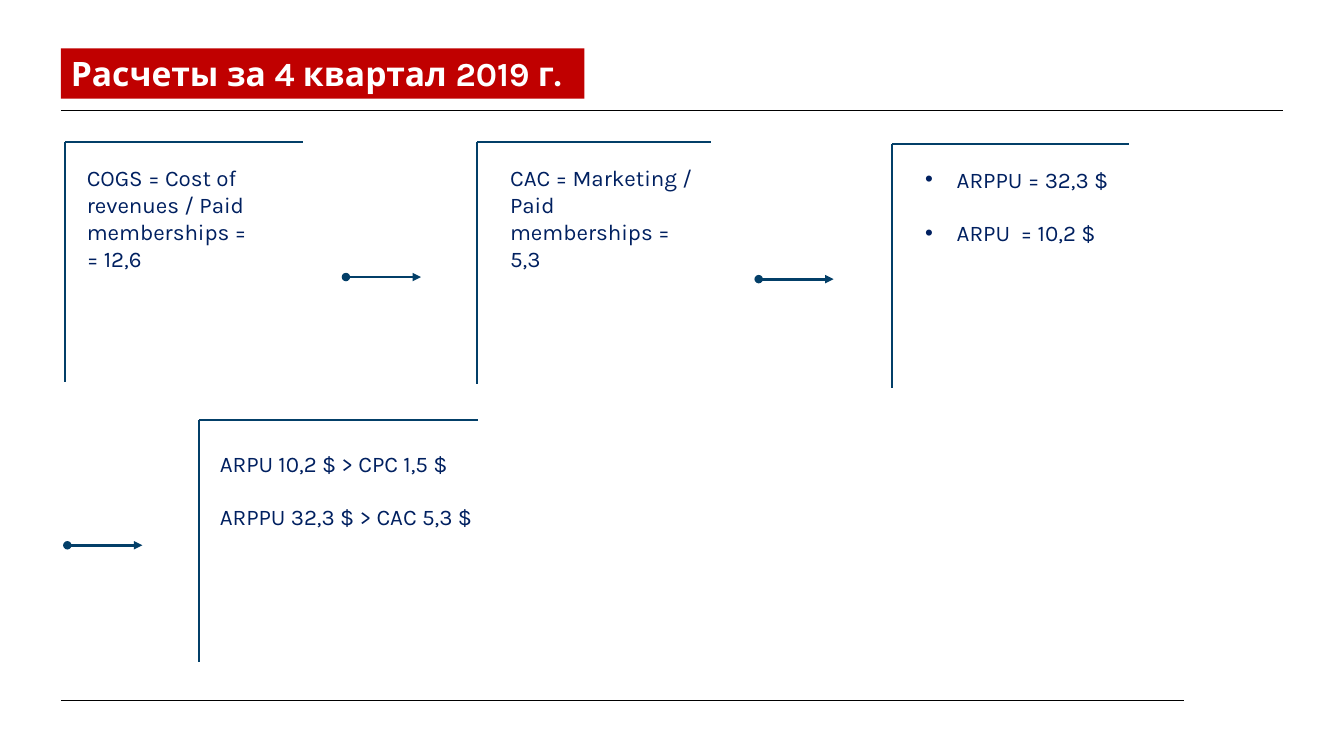
from typing import NamedTuple

from pptx import Presentation
from pptx.dml.color import RGBColor
from pptx.enum.shapes import MSO_CONNECTOR as Connector, MSO_SHAPE as Preset
from pptx.enum.text import MSO_ANCHOR as Anchor, PP_ALIGN as Align
from pptx.oxml.ns import qn
from pptx.util import Pt
from lxml.etree import SubElement

FONT = "Karla"
BLACK, WHITE, RED = "000000", "FFFFFF", "C00000"
STEEL, NAVY = "033F68", "002060"
BULLET_INDENT = 22.5
ARROW_LENGTH = 53.6


class Bracket(NamedTuple):
    left: float
    top: float
    width: float
    height: float


class Note(NamedTuple):
    left: float
    top: float
    width: float
    height: float
    lines: tuple[str, ...]
    gap: float = 0
    bulleted: bool = False


class Arrow(NamedTuple):
    left: float
    top: float


BRACKETS = (
    Bracket(46.6, 101.5, 170, 171.5),
    Bracket(341, 101.5, 166.7, 173),
    Bracket(637.4, 103, 169, 174.3),
    Bracket(142, 300.2, 199.4, 173),
)
NOTES = (
    Note(54.9, 113.6, 167, 106.6, ("COGS = Cost of revenues / Paid memberships =", "= 12,6")),
    Note(357.3, 113.6, 150, 101.5, ("CAC = Marketing / Paid memberships = 5,3",)),
    Note(653.8, 114.8, 168.5, 106.6, ("ARPPU = 32,3 $", "ARPU  = 10,2 $"), 19, True),
    Note(149.9, 317.7, 207.4, 85, ("ARPU 10,2 $ > CPC 1,5 $", "ARPPU 32,3 $ > CAC 5,3 $"), 19),
)
ARROWS = (Arrow(247.1, 197.9), Arrow(541.9, 199.4), Arrow(48.1, 389.5))


def color(value: str) -> RGBColor:
    return RGBColor.from_string(value)


def draw_line(page, x1: float, y1: float, x2: float, y2: float,
              ink: str, weight: float, arrow: bool = False) -> None:
    line = page.shapes.add_connector(Connector.STRAIGHT, Pt(x1), Pt(y1), Pt(x2), Pt(y2))
    line.line.color.rgb = color(ink)
    line.line.width = Pt(weight)
    properties = line._element.spPr
    if arrow:
        outline = properties.find(qn("a:ln"))
        SubElement(outline, qn("a:headEnd"), type="oval")
        SubElement(outline, qn("a:tailEnd"), type="triangle")
    SubElement(properties, qn("a:effectLst"))


def format_text(para, size: float, ink: str, bold: bool = False) -> None:
    para.alignment = Align.LEFT
    for span in para.runs:
        span.font.name = FONT
        span.font.size = Pt(size)
        span.font.bold = bold
        span.font.color.rgb = color(ink)


def draw_title(page) -> None:
    banner = page.shapes.add_shape(Preset.RECTANGLE, Pt(43.5), Pt(34.5), Pt(374), Pt(36))
    banner.shadow.inherit = False
    banner.fill.solid()
    banner.fill.fore_color.rgb = color(RED)
    banner.line.fill.background()
    frame = banner.text_frame
    frame.word_wrap = True
    frame.margin_right = Pt(0)
    frame.vertical_anchor = Anchor.TOP
    frame.text = "Расчеты за 4 квартал 2019 г."
    format_text(frame.paragraphs[0], 24, WHITE, True)


def draw_bracket(page, bracket: Bracket) -> None:
    left, top, width, height = bracket
    draw_line(page, left, top, left + width, top, STEEL, 1.5)
    draw_line(page, left, top, left, top + height, STEEL, 1.5)


def add_bullet(para) -> None:
    properties = para._p.get_or_add_pPr()
    properties.set("marL", str(Pt(BULLET_INDENT)))
    properties.set("indent", str(-Pt(BULLET_INDENT)))
    SubElement(properties, qn("a:buFont"), typeface="Arial")
    SubElement(properties, qn("a:buChar"), char="•")


def draw_note(page, note: Note) -> None:
    box = page.shapes.add_textbox(Pt(note.left), Pt(note.top), Pt(note.width), Pt(note.height))
    frame = box.text_frame
    frame.word_wrap = True
    frame.text = "\n".join(note.lines)
    for index, para in enumerate(frame.paragraphs):
        format_text(para, 16, NAVY)
        if index:
            para.space_before = Pt(note.gap)
        if note.bulleted:
            add_bullet(para)


def main() -> None:
    deck = Presentation()
    deck.slide_width, deck.slide_height = Pt(960), Pt(540)
    page = deck.slides.add_slide(deck.slide_layouts[6])
    draw_line(page, 43.5, 500.2, 845.8, 500.2, BLACK, 1)
    draw_line(page, 43.5, 79, 916.5, 79, BLACK, 1)
    draw_title(page)
    for bracket in BRACKETS:
        draw_bracket(page, bracket)
    for note in NOTES:
        draw_note(page, note)
    for arrow in ARROWS:
        draw_line(page, arrow.left, arrow.top, arrow.left + ARROW_LENGTH, arrow.top,
                  STEEL, 2, True)
    deck.save("out.pptx")


if __name__ == "__main__":
    main()
